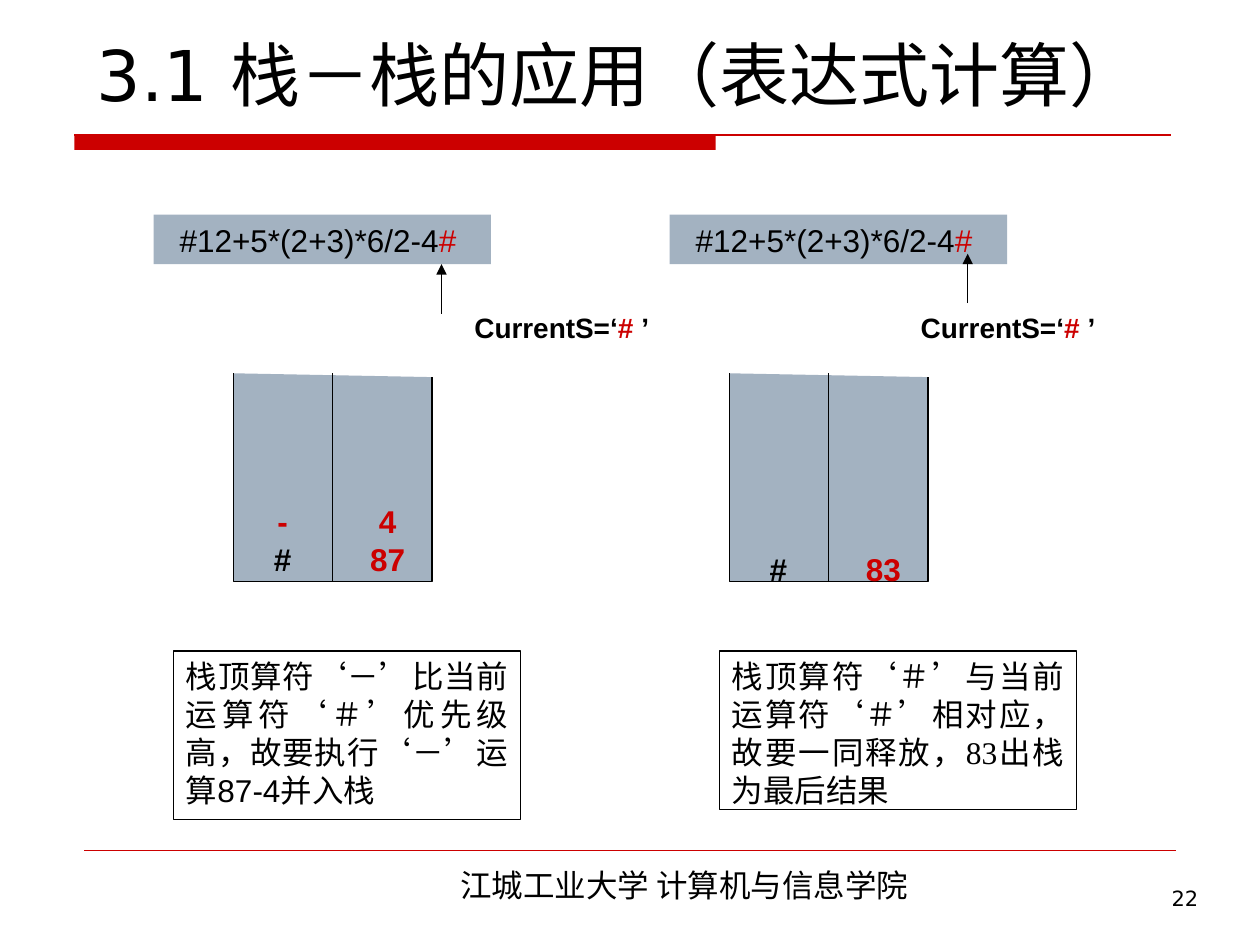
import itertools

import pptx
import pptx.dml.color
import pptx.enum.shapes
import pptx.enum.text
import pptx.oxml.ns
import pptx.util
from lxml import etree

Pt = pptx.util.Pt
ALIGN = pptx.enum.text.PP_ALIGN
ANCHOR = pptx.enum.text.MSO_ANCHOR
RECTANGLE = pptx.enum.shapes.MSO_SHAPE.RECTANGLE

THEME = {
    "red": "CC0000", "black": "000000", "white": "FFFFFF", "steel": "A3B2C1",
    "title": 40, "body": 18, "label": 16, "number": 12,
    "leading": 21.7, "line": 0.75, "hairline": 0.25,
    "latin": "Arial", "heading": "DejaVu Sans", "cjk": "Noto Sans CJK SC",
}

TITLE = "3.1 栈－栈的应用（表达式计算）"
FOOTER = "江城工业大学 计算机与信息学院"
PAGE = "22"
EXPRESSION = [("#12+5*(2+3)*6/2-4", "black"), ("# ", "red")]
CURRENT = [("CurrentS=‘", "black"), ("# ", "red"), ("’", "black")]

# Operators and operands are listed from the top of each stack to its bottom.
STEPS = [
    {"expression_x": 87.8, "pointer": (252.3, 151), "current_x": 264, "stack_x": 133.5,
     "operators": [("-", "red"), ("#", "black")],
     "operands": [("4", "red"), ("87", "red")], "stack_base": 330,
     "note": "栈顶算符‘－’比当前运算符‘＃’优先级高，故要执行‘－’运算87-4并入栈",
     "note_box": (99.2, 372, 198.2, 96.3), "note_font": "Arial", "quote_font": "Cambria"},
    {"expression_x": 382.7, "pointer": (553, 145), "current_x": 519, "stack_x": 416.8,
     "operators": [("#", "black")],
     "operands": [("83", "red")], "stack_base": 335.8,
     "note": "栈顶算符‘＃’与当前运算符‘＃’相对应，故要一同释放，83出栈为最后结果",
     "note_box": (411.2, 372, 204.1, 90.5),
     "note_font": "Times New Roman", "quote_font": "Times New Roman"},
]

STACK_TOP, STACK_WIDTH, STACK_HEIGHT, STACK_SLANT = 213.3, 113.4, 118.9, 2.2
LABEL_CENTRES = (28, 88)
LABEL_WIDTH, LABEL_HEIGHT = 34, 80
POINTER_LENGTH = 28.2


def rgb(name):
    return pptx.dml.color.RGBColor.from_string(THEME[name])


def points(*values):
    return [Pt(value) for value in values]


def add_bar(slide, box, fill, line=None):
    bar = slide.shapes.add_shape(RECTANGLE, *points(*box))
    bar.shadow.inherit = False
    bar.fill.solid()
    bar.fill.fore_color.rgb = rgb(fill)
    if line:
        bar.line.color.rgb = rgb(line)
        bar.line.width = Pt(THEME["line"])
    else:
        bar.line.fill.background()
    return bar


def add_line(slide, start, end, color="black", width="line", arrow=False):
    line = slide.shapes.add_connector(
        pptx.enum.shapes.MSO_CONNECTOR.STRAIGHT, *points(*start, *end))
    line.line.color.rgb = rgb(color)
    line.line.width = Pt(THEME[width])
    if arrow:
        etree.SubElement(line.line._get_or_add_ln(),
                         pptx.oxml.ns.qn("a:tailEnd"), type="triangle")
    etree.SubElement(line._element.spPr, pptx.oxml.ns.qn("a:effectLst"))


def add_box(slide, box):
    return slide.shapes.add_textbox(*points(*box))


def write(shape, paragraphs, size, font=THEME["latin"], align=ALIGN.LEFT,
          anchor=ANCHOR.TOP, wrap=True, bold=False, leading=None):
    """Fill a shape; each paragraph is a list of (text, colour[, font]) runs."""
    frame = shape.text_frame
    frame.word_wrap = wrap
    frame.vertical_anchor = anchor
    for index, runs in enumerate(paragraphs):
        paragraph = frame.add_paragraph() if index else frame.paragraphs[0]
        paragraph.alignment = align
        paragraph._p.get_or_add_pPr().set("hangingPunct", "0")
        paragraph.font.size = Pt(THEME[size])
        paragraph.font.name = font
        paragraph.font.bold = bold
        if leading:
            paragraph.line_spacing = Pt(THEME[leading])
        for text, color, *run_font in runs:
            run = paragraph.add_run()
            run.text = text
            run.font.color.rgb = rgb(color)
            if run_font:
                run.font.name = run_font[0]
            etree.SubElement(run._r.get_or_add_rPr(), pptx.oxml.ns.qn("a:ea"),
                             typeface=THEME["cjk"])
    return frame


def add_frame(slide):
    """Title, rules, footer and page number."""
    write(add_box(slide, (48.2, 0, 640, 69.7)), [[(TITLE, "black")]], "title",
          THEME["heading"], anchor=ANCHOR.BOTTOM)
    add_bar(slide, (42.5, 77, 366.5, 8.7), "red")
    add_line(slide, (42.5, 77.2), (668.9, 77.2), "red")
    add_line(slide, (48.2, 486), (671.8, 486), "red", "hairline")
    write(add_box(slide, (172.8, 491.2, 436.3, 29)), [[(FOOTER, "black")]], "body",
          THEME["cjk"], ALIGN.CENTER, leading="leading")
    write(add_box(slide, (535.7, 502.6, 156.2, 37.4)), [[(PAGE, "black")]],
          "number", THEME["heading"], ALIGN.RIGHT)


def add_stack(slide, step):
    """Open-topped container with operators on the left and operands on the right."""
    left, right = step["stack_x"], step["stack_x"] + STACK_WIDTH
    bottom = STACK_TOP + STACK_HEIGHT
    builder = slide.shapes.build_freeform(Pt(left), Pt(STACK_TOP))
    builder.add_line_segments(
        [points(left, bottom), points(right, bottom),
         points(right, STACK_TOP + STACK_SLANT)], close=False)
    container = builder.convert_to_shape()
    container.shadow.inherit = False
    container.fill.solid()
    container.fill.fore_color.rgb = rgb("steel")
    container.line.color.rgb = rgb("black")
    container.line.width = Pt(THEME["line"])
    middle = left + STACK_WIDTH / 2
    add_line(slide, (middle, STACK_TOP), (middle, bottom))
    for centre, entries in zip(LABEL_CENTRES, (step["operators"], step["operands"])):
        label = add_box(slide, (left + centre - LABEL_WIDTH / 2,
                                step["stack_base"] - LABEL_HEIGHT,
                                LABEL_WIDTH, LABEL_HEIGHT))
        frame = write(label, [[entry] for entry in entries], "body",
                      align=ALIGN.CENTER, anchor=ANCHOR.BOTTOM, bold=True,
                      leading="leading")
        frame.margin_left = frame.margin_right = frame.margin_bottom = 0


def add_step(slide, step):
    write(add_bar(slide, (step["expression_x"], 122.7, 192.8, 28.2), "steel"),
          [EXPRESSION], "body", align=ALIGN.CENTER, anchor=ANCHOR.MIDDLE, wrap=False)
    pointer_x, tip = step["pointer"]
    add_line(slide, (pointer_x, tip + POINTER_LENGTH), (pointer_x, tip), arrow=True)
    write(add_box(slide, (step["current_x"], 173.7, 118.8, 26.6)), [CURRENT],
          "label", anchor=ANCHOR.MIDDLE, wrap=False, bold=True)
    add_stack(slide, step)
    note = [("".join(part), "black", step["quote_font" if quote else "note_font"])
            for quote, part in itertools.groupby(step["note"], lambda c: c in "‘’")]
    write(add_bar(slide, step["note_box"], "white", "black"), [note], "body",
          step["note_font"], ALIGN.JUSTIFY, leading="leading")


def main():
    deck = pptx.Presentation()
    deck.slide_width, deck.slide_height = points(720, 540)
    slide = deck.slides.add_slide(deck.slide_layouts[6])
    add_frame(slide)
    for step in STEPS:
        add_step(slide, step)
    deck.save("out.pptx")


if __name__ == "__main__":
    main()
